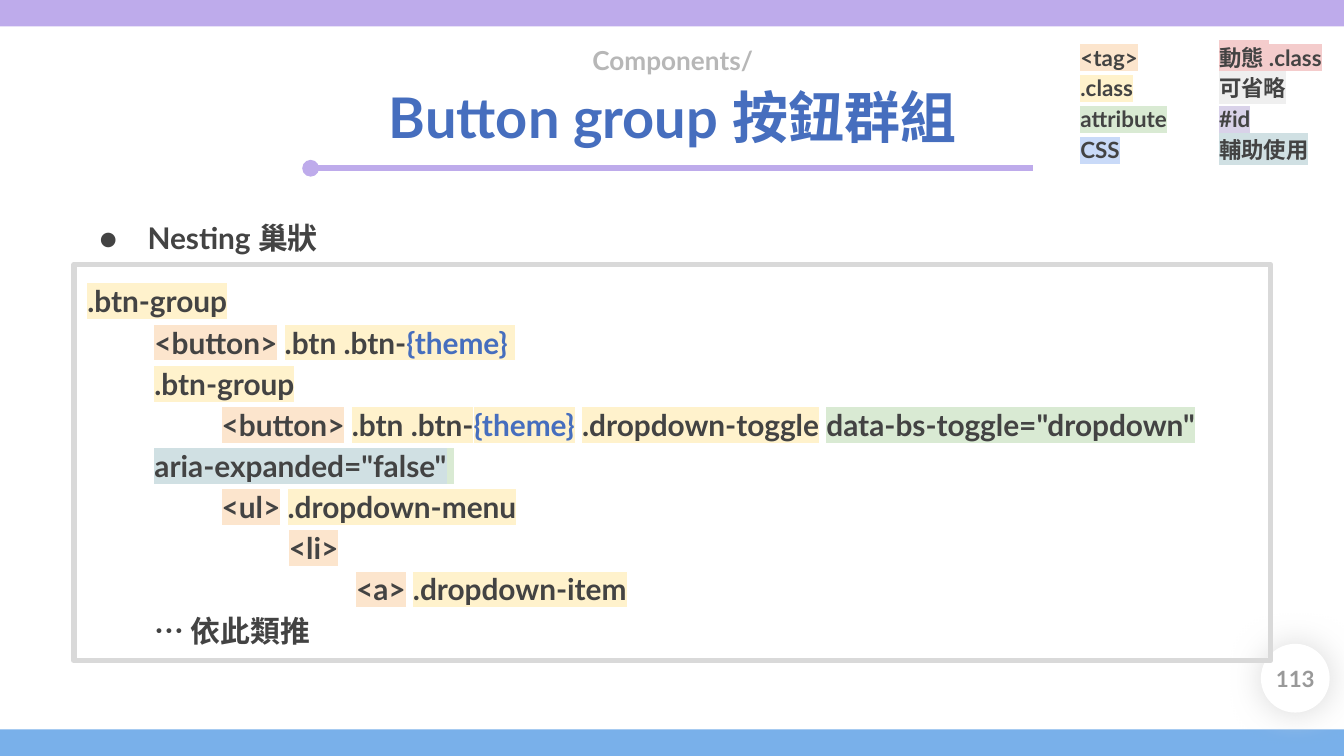
import pptx
import pptx.util
import pptx.dml.color
import pptx.enum.shapes
import pptx.enum.text
import pptx.oxml
import pptx.oxml.ns
from dataclasses import dataclass
from typing import Optional

Cm = pptx.util.Cm
Pt = pptx.util.Pt
MSO = pptx.enum.shapes.MSO_SHAPE
ALIGN = pptx.enum.text.PP_ALIGN
ANCHOR = pptx.enum.text.MSO_ANCHOR

COLORS = {
    "purple": "BEABEB", "sky": "79B0EA", "blue": "466EBE", "text": "434343",
    "muted": "B7B7B7", "number": "999999", "frame": "D9D9D9", "white": "FFFFFF",
    "tag": "FCE5CD", "class": "FFF2CC", "attribute": "D9EAD3", "css": "C9DAF8",
    "dynamic": "F4CCCC", "optional": "EFEFEF", "id": "D9D2E9", "helper": "D0E0E3",
}
INDENT = 1.27


@dataclass
class Piece:
    text: str
    mark: Optional[str] = None
    color: str = "text"


@dataclass
class Line:
    pieces: list[Piece]
    level: int = 0


GAP = Piece(" ")
BUTTON = [Piece("<button>", "tag"), GAP, Piece(".btn .btn-", "class"),
          Piece("{theme}", "class", "blue")]
GROUP = Piece(".btn-group", "class")

CODE = [
    Line([GROUP]),
    Line(BUTTON + [Piece(" ", "class")], 1),
    Line([GROUP], 1),
    Line(BUTTON + [GAP, Piece(".dropdown-toggle", "class"), GAP,
                   Piece('data-bs-toggle="dropdown"', "attribute"), GAP,
                   Piece('aria-expanded="false"', "helper"), Piece(" ", "attribute")], 2),
    Line([Piece("<ul>", "tag"), GAP, Piece(".dropdown-menu", "class")], 2),
    Line([Piece("<li>", "tag")], 3),
    Line([Piece("<a>", "tag"), GAP, Piece(".dropdown-item", "class")], 4),
    Line([Piece("… 依此類推")], 1),
]
LEGEND = [
    [Piece("<tag>", "tag"), Piece(".class", "class"),
     Piece("attribute", "attribute"), Piece("CSS", "css")],
    [Piece("動態 .class", "dynamic"), Piece("可省略", "optional"),
     Piece("#id", "id"), Piece("輔助使用", "helper")],
]


def rgb(name: str) -> pptx.dml.color.RGBColor:
    return pptx.dml.color.RGBColor.from_string(COLORS[name])


def add_xml(parent, xml: str) -> None:
    head, tail = xml.split(" ", 1)
    parent.append(pptx.oxml.parse_xml(f"{head} {pptx.oxml.ns.nsdecls('a')} {tail}"))


def format_run(r, size: float, piece: Piece) -> None:
    r.font.size = Pt(size)
    r.font.bold = True
    r.font.color.rgb = rgb(piece.color)
    if piece.mark:
        add_xml(r.font._element, f'<a:highlight ><a:srgbClr val="{COLORS[piece.mark]}"/></a:highlight>')
    r.font.name = "Lato"


def write(sp, lines: list[Line], size: float, align=ALIGN.LEFT,
          anchor=ANCHOR.TOP, spacing: float = 1.15) -> None:
    tf = sp.text_frame
    tf.word_wrap = True
    tf.auto_size = pptx.enum.text.MSO_AUTO_SIZE.NONE
    tf.vertical_anchor = anchor
    tf.margin_left = tf.margin_right = tf.margin_top = tf.margin_bottom = Cm(0.25)
    for i, line in enumerate(lines):
        p = tf.paragraphs[0] if i == 0 else tf.add_paragraph()
        p.alignment = align
        p.line_spacing = spacing
        p.space_before = Pt(0)
        if line.level:
            pPr = p._p.get_or_add_pPr()
            pPr.set("marL", str(Cm(INDENT * (line.level - 1))))
            pPr.set("indent", str(Cm(INDENT)))
        for piece in line.pieces:
            r = p.add_run()
            r.text = piece.text
            format_run(r, size, piece)


def place(sp, x: float, y: float, w: float, h: float):
    sp.left, sp.top, sp.width, sp.height = Cm(x), Cm(y), Cm(w), Cm(h)
    return sp


def add_shape(s, kind, x: float, y: float, w: float, h: float, fill: Optional[str] = None):
    sp = s.shapes.add_shape(kind, Cm(x), Cm(y), Cm(w), Cm(h))
    sp.shadow.inherit = False
    sp.line.fill.background()
    if fill:
        sp.fill.solid()
        sp.fill.fore_color.rgb = rgb(fill)
    else:
        sp.fill.background()
    return sp


def add_text(shapes, x: float, y: float, w: float, h: float, lines: list[Line], size: float, **style):
    sp = shapes.add_textbox(Cm(x), Cm(y), Cm(w), Cm(h))
    write(sp, lines, size, **style)
    return sp


def add_rule(s) -> None:
    rule = s.shapes.add_connector(pptx.enum.shapes.MSO_CONNECTOR.STRAIGHT,
                                  Cm(5.87), Cm(3.18), Cm(19.53), Cm(3.18))
    rule.line.color.rgb = rgb("purple")
    rule.line.width = Pt(3)
    add_xml(rule.line._get_or_add_ln(), '<a:headEnd type="oval"/>')
    add_xml(rule._element.spPr, "<a:effectLst />")


def add_page_number(s) -> None:
    spot = (23.83, 12.17, 1.3, 1.3)
    sp = add_shape(s, MSO.OVAL, *spot, fill="white")
    effects = sp._element.spPr.find(pptx.oxml.ns.qn("a:effectLst"))
    add_xml(effects, f'<a:outerShdw blurRad="{Pt(18)}" dist="0" algn="ctr" rotWithShape="0">'
                     f'<a:srgbClr val="{COLORS["frame"]}"/></a:outerShdw>')
    add_text(s.shapes, *spot, [Line([Piece("113", color="number")])], 12,
             align=ALIGN.CENTER, anchor=ANCHOR.MIDDLE, spacing=1.0)


def main() -> None:
    prs = pptx.Presentation()
    prs.slide_width, prs.slide_height = Cm(25.4), Cm(14.29)
    s = prs.slides.add_slide(prs.slide_layouts[1])

    title = place(s.shapes.title, 3.91, 1.12, 17.6, 1.8)
    write(title, [Line([Piece("Button group 按鈕群組", color="blue")])], 30, align=ALIGN.CENTER)
    add_rule(s)
    for y, color in ((0, "purple"), (13.79, "sky")):
        add_shape(s, MSO.RECTANGLE, 0, y, 25.4, 0.5, color)
    add_text(s.shapes, 5.87, 0.5, 13.69, 1.12,
             [Line([Piece("Components/", color="muted")])], 14, align=ALIGN.CENTER)

    body = place(s.placeholders[1], 1.27, 3.81, 22.86, 1.2)
    write(body, [Line([Piece("Nesting 巢狀")])], 16)
    pPr = body.text_frame.paragraphs[0]._p.get_or_add_pPr()
    pPr.set("marL", str(Cm(INDENT)))
    pPr.set("indent", str(Cm(-0.91)))
    add_xml(pPr, f'<a:buClr ><a:srgbClr val="{COLORS["text"]}"/></a:buClr>')
    add_xml(pPr, '<a:buFont typeface="Lato"/>')
    add_xml(pPr, '<a:buChar char="●"/>')

    add_page_number(s)
    frame = add_shape(s, MSO.RECTANGLE, 1.4, 5, 22.61, 7.49)
    frame.line.color.rgb = rgb("frame")
    frame.line.width = Pt(3)
    write(frame, CODE, 16)

    legend = s.shapes.add_group_shape()
    for i, column in enumerate(LEGEND):
        add_text(legend.shapes, 20.17 + 2.62 * i, 0.5, 2.62, 2.8,
                 [Line([piece]) for piece in column], 12)

    prs.save("out.pptx")


if __name__ == "__main__":
    main()
